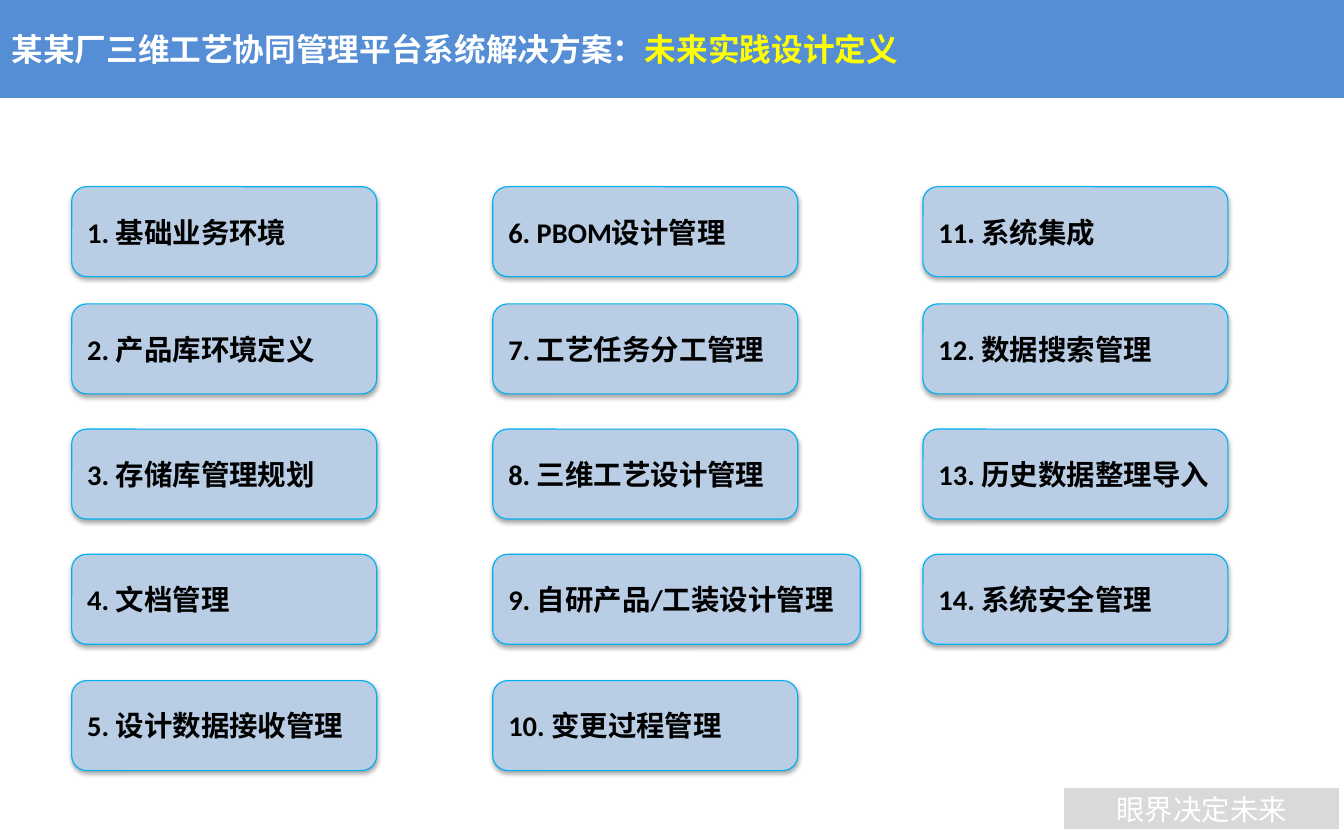
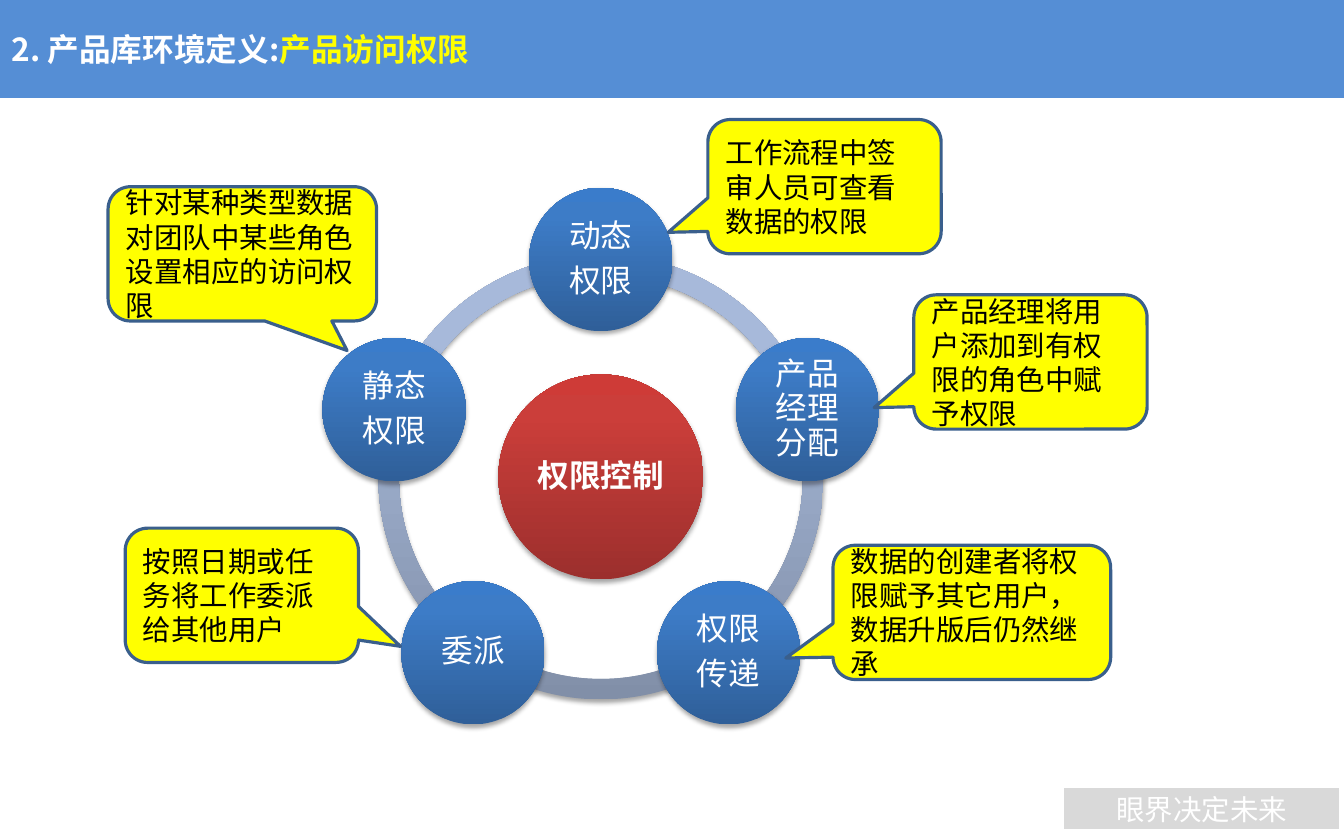
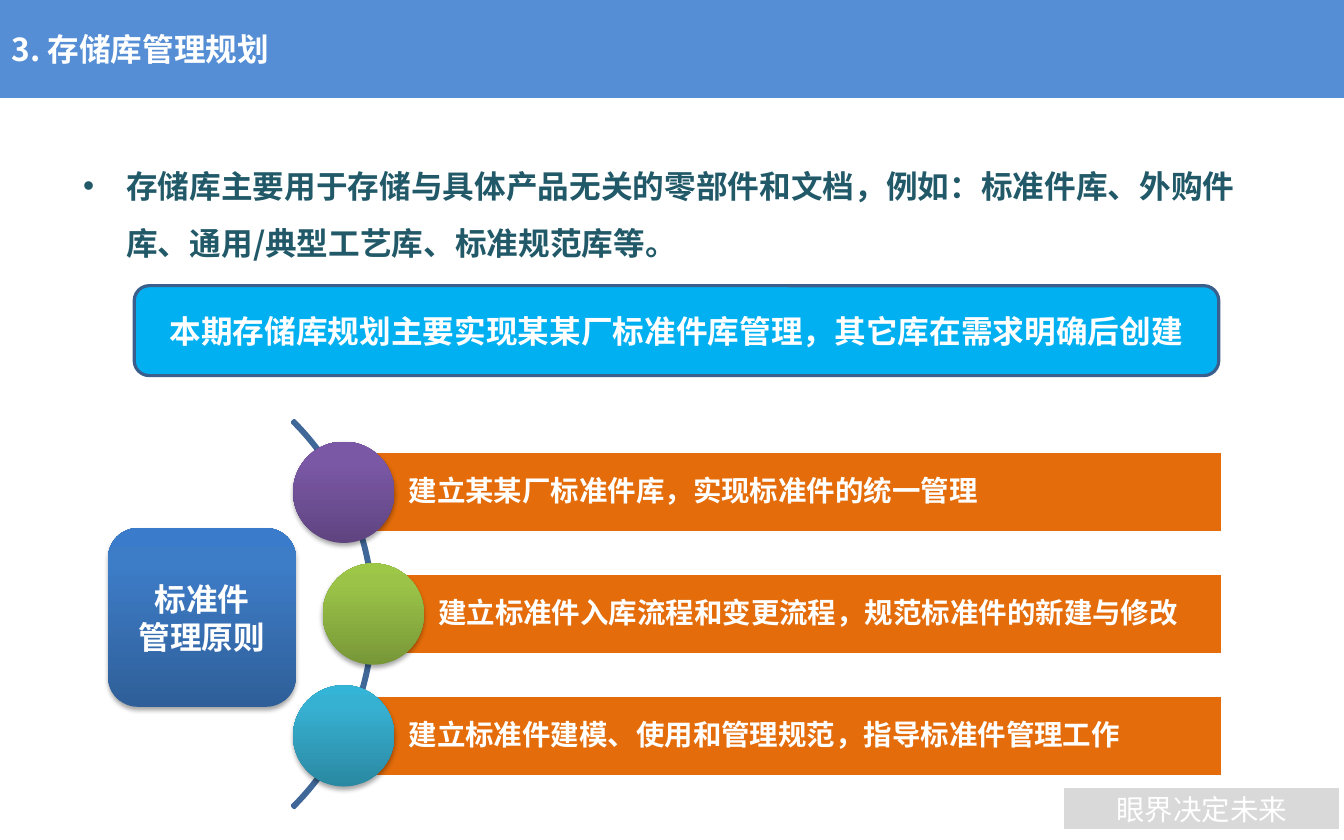
"""Build three slides on a collaborative process planning platform."""
from copy import deepcopy
from dataclasses import dataclass
from math import cos, radians, sin

from lxml import etree
from pptx import Presentation
from pptx import util as u
from pptx.dml.color import RGBColor
from pptx.enum import shapes, text
from pptx.oxml import ns

COLORS = {
    "band": "558ED5", "footer": "D9D9D9", "white": "FFFFFF", "black": "000000",
    "yellow": "FFFF00", "card": "B9CDE5", "cyan": "00B0F0", "outline": "3A5F8C",
    "arc": "3F6797", "bar": "E46C0A", "teal": "215968",
}
GRADIENTS = {
    "ring": ("818FA8", "A7B9DA", "A7BADC"),
    "red": ("9C2F2D", "CB3E3A", "CE3B37"),
    "blue": ("2F5F99", "3D7CC7", "3A7CCB"),
    "purple": ("5F4480", "7B58A6", "7C57A8"),
    "green": ("779737", "9BC348", "9DC746"),
    "aqua": ("2A88A2", "37B1D2", "34B4D6"),
}
CJK_FONT = "Noto Sans CJK SC"
SHAPE = shapes.MSO_SHAPE
LEFT, CENTER = text.PP_ALIGN.LEFT, text.PP_ALIGN.CENTER
TITLE_ONLY, TITLE_AND_BODY = 5, 1

CARD_LEFTS = (0.63, 4.33, 8.11)
CARD_TOPS = (1.64, 2.67, 3.77, 4.87, 5.98)
CARD_WIDTH, WIDE_CARD_WIDTH = 2.68, 3.23
CARD_COLUMNS = (
    ("1. 基础业务环境", "2. 产品库环境定义", "3. 存储库管理规划", "4. 文档管理", "5. 设计数据接收管理"),
    ("6. PBOM设计管理", "7. 工艺任务分工管理", "8. 三维工艺设计管理", "9. 自研产品/工装设计管理", "10. 变更过程管理"),
    ("11. 系统集成", "12. 数据搜索管理", "13. 历史数据整理导入", "14. 系统安全管理"),
)
WIDE_CARD = "9. 自研产品/工装设计管理"

RING_X, RING_Y, RING_SIZE = 5.28, 4.19, 3.91
NODE_ORBIT, NODE_SIZE, HUB_SIZE, NODE_STEP = 1.91, 1.26, 1.8, 72
NODES = ("动态\n权限", "产品经理分配", "权限\n传递", "委派", "静态\n权限")


@dataclass(frozen=True)
class Box:
    left: float
    top: float
    width: float
    height: float


@dataclass(frozen=True)
class Callout:
    box: Box
    tip: tuple[float, float]
    words: str


@dataclass(frozen=True)
class Principle:
    left: float
    gradient: str
    words: str


CALLOUTS = (
    Callout(Box(6.22, 1.05, 2.05, 1.18), (-0.67, 0.34), "工作流程中签审人员可查看数据的权限"),
    Callout(Box(0.95, 1.64, 2.36, 1.18), (0.39, 0.72), "针对某种类型数据对团队中某些角色设置相应的访问权限"),
    Callout(Box(8.03, 2.59, 2.05, 1.18), (-0.67, 0.34), "产品经理将用户添加到有权限的角色中赋予权限"),
    Callout(Box(7.32, 4.79, 2.44, 1.18), (-0.67, 0.34), "数据的创建者将权限赋予其它用户，数据升版后仍然继承"),
    Callout(Box(1.1, 4.64, 2.05, 1.18), (0.68, 0.38), "按照日期或任务将工作委派给其他用户"),
)
PRINCIPLES = (
    Principle(3.02, "purple", "建立某某厂标准件库，实现标准件的统一管理"),
    Principle(3.28, "green", "建立标准件入库流程和变更流程，规范标准件的新建与修改"),
    Principle(3.02, "aqua", "建立标准件建模、使用和管理规范，指导标准件管理工作"),
)
BAR_TOP, BAR_PITCH, BAR_HEIGHT, BAR_RIGHT, DOT_SIZE = 3.97, 1.07, 0.71, 10.74, 0.89


def rgb(name: str) -> RGBColor:
    return RGBColor.from_string(COLORS[name])


def centered(x: float, y: float, size: float) -> Box:
    return Box(x - size / 2, y - size / 2, size, size)


def place(shape, box: Box) -> None:
    shape.left, shape.top = u.Inches(box.left), u.Inches(box.top)
    shape.width, shape.height = u.Inches(box.width), u.Inches(box.height)


def add_span(para, words: str, *, size=18, color="white", bold=False, font="Calibri") -> None:
    span = para.add_run()
    span.text = words
    span.font.size, span.font.bold, span.font.name = u.Pt(size), bold, font
    span.font.color.rgb = rgb(color)
    east_asian = etree.SubElement(span.font._element, ns.qn("a:ea"))
    east_asian.set("typeface", CJK_FONT)


def write(frame, words: str, *, align=LEFT, anchor=text.MSO_ANCHOR.MIDDLE,
          spacing=1.0, after=0, insets=(0.1, 0.05, 0.1, 0.05), **span_format) -> None:
    frame.word_wrap = True
    frame.auto_size = text.MSO_AUTO_SIZE.NONE
    frame.vertical_anchor = anchor
    frame.margin_left, frame.margin_top, frame.margin_right, frame.margin_bottom = map(u.Inches, insets)
    for index, line in enumerate(words.split("\n")):
        para = frame.add_paragraph() if index else frame.paragraphs[0]
        para.alignment, para.line_spacing = align, spacing
        para.space_before, para.space_after = u.Pt(0), u.Pt(after)
        add_span(para, line, **span_format)


def fill_gradient(shape, name: str) -> None:
    shape.fill.gradient()
    shape.fill.gradient_angle = 90
    stop_list = shape.element.spPr.find(ns.qn("a:gradFill")).find(ns.qn("a:gsLst"))
    stop_list.append(deepcopy(stop_list[0]))
    for stop, position, color in zip(shape.fill.gradient_stops, (0, 0.8, 1), GRADIENTS[name]):
        stop.position = position
        stop.color.rgb = RGBColor.from_string(color)


def cast_shadow(shape) -> None:
    effects = shape.element.spPr.find(ns.qn("a:effectLst"))
    shadow = etree.SubElement(effects, ns.qn("a:outerShdw"), blurRad=str(u.Pt(3.1)),
                              dist=str(u.Pt(1.8)), dir="5400000", rotWithShape="0")
    color = etree.SubElement(shadow, ns.qn("a:srgbClr"), val=COLORS["black"])
    etree.SubElement(color, ns.qn("a:alpha"), val="35000")


def add_shape(page, kind, box: Box, *, fill="", gradient="", line="", line_width=2.0,
              shadow=False, adjust=()):
    shape = page.shapes.add_shape(kind, 0, 0, 0, 0)
    place(shape, box)
    for index, value in enumerate(adjust):
        shape.adjustments[index] = value
    if gradient:
        fill_gradient(shape, gradient)
    elif fill:
        shape.fill.solid()
        shape.fill.fore_color.rgb = rgb(fill)
    else:
        shape.fill.background()
    if line:
        shape.line.color.rgb = rgb(line)
        shape.line.width = u.Pt(line_width)
    else:
        shape.line.fill.background()
    shape.shadow.inherit = False
    if shadow:
        cast_shadow(shape)
    return shape


def add_arc(page, box: Box, start: float, end: float, thickness: float, **look) -> None:
    adjust = (start * 0.6, end * 0.6, thickness)
    add_shape(page, SHAPE.BLOCK_ARC, box, adjust=adjust, **look)


def furnish_master(deck, page) -> None:
    band = add_shape(page, SHAPE.RECTANGLE, Box(0, 0, 11.81, 0.86), fill="band")
    footer = add_shape(page, SHAPE.RECTANGLE, Box(9.34, 6.91, 2.44, 0.39), fill="footer", line="white")
    write(footer.text_frame, "眼界决定未来", align=CENTER, font=CJK_FONT)
    for number, shape in enumerate((band, footer), start=101):
        shape.element.nvSpPr.cNvPr.set("id", str(number))
        deck.slide_master.shapes.element.append(shape.element)


def add_page(deck, layout: int, title: str, highlight: str = ""):
    page = deck.slides.add_slide(deck.slide_layouts[layout])
    place(page.shapes.title, Box(0, 0, 11.79, 0.86))
    frame = page.shapes.title.text_frame
    look = {"size": 20, "bold": True, "font": CJK_FONT}
    write(frame, title, **look)
    if highlight:
        add_span(frame.paragraphs[0], highlight, color="yellow", **look)
    return page


def draw_overview(page) -> None:
    for left, column in zip(CARD_LEFTS, CARD_COLUMNS):
        for top, words in zip(CARD_TOPS, column):
            width = WIDE_CARD_WIDTH if words == WIDE_CARD else CARD_WIDTH
            card = add_shape(page, SHAPE.ROUNDED_RECTANGLE, Box(left, top, width, 0.79),
                             fill="card", line="cyan", line_width=0.75, shadow=True)
            write(card.text_frame, words, color="black", bold=True)


def add_disc(page, box: Box, gradient: str, words: str, bold: bool = False) -> None:
    disc = add_shape(page, SHAPE.OVAL, box, gradient=gradient, shadow=True)
    write(disc.text_frame, words, align=CENTER, spacing=0.9, after=7,
          insets=(0.03,) * 4, size=20, bold=bold)


def draw_permissions(page) -> None:
    ring = centered(RING_X, RING_Y, RING_SIZE)
    for index in range(len(NODES)):
        start = (198 - index * NODE_STEP) % 360
        add_arc(page, ring, start, (start + NODE_STEP) % 360, 0.046, gradient="ring", shadow=True)
    add_disc(page, centered(RING_X, RING_Y, HUB_SIZE), "red", "权限控制", bold=True)
    for index, words in enumerate(NODES):
        angle = radians(index * NODE_STEP - 90)
        x, y = RING_X + NODE_ORBIT * cos(angle), RING_Y + NODE_ORBIT * sin(angle)
        add_disc(page, centered(x, y, NODE_SIZE), "blue", words)
    for callout in CALLOUTS:
        bubble = add_shape(page, SHAPE.ROUNDED_RECTANGULAR_CALLOUT, callout.box, fill="yellow",
                           line="outline", adjust=(*callout.tip, 0.167))
        write(bubble.text_frame, callout.words, color="black")


def write_body(page, words: str) -> None:
    body = page.placeholders[1]
    place(body, Box(0.63, 1.25, 10.51, 5.59))
    para_format = body.text_frame.paragraphs[0]._p.get_or_add_pPr()
    para_format.set("marL", str(u.Inches(0.38)))
    para_format.set("indent", str(u.Inches(-0.38)))
    etree.SubElement(para_format, ns.qn("a:buChar"), char="•")
    write(body.text_frame, words, anchor=text.MSO_ANCHOR.TOP, spacing=1.5,
          size=20, color="teal", bold=True, font=CJK_FONT)


def draw_storage(page) -> None:
    write_body(page, "存储库主要用于存储与具体产品无关的零部件和文档，例如：标准件库、外购件库、通用/典型工艺库、标准规范库等。")
    scope = add_shape(page, SHAPE.ROUNDED_RECTANGLE, Box(1.18, 2.51, 9.53, 0.79),
                      fill="cyan", line="outline")
    write(scope.text_frame, "本期存储库规划主要实现某某厂标准件库管理，其它库在需求明确后创建",
          align=CENTER, size=20, bold=True)
    add_arc(page, Box(-1.52, 2.99, 4.81, 4.81), 315, 45, 0.005, line="arc")
    for index, principle in enumerate(PRINCIPLES):
        top = BAR_TOP + index * BAR_PITCH
        box = Box(principle.left, top, BAR_RIGHT - principle.left, BAR_HEIGHT)
        bar = add_shape(page, SHAPE.RECTANGLE, box, fill="bar", line="white")
        write(bar.text_frame, principle.words, spacing=0.9, after=6,
              insets=(0.57, 0.05, 0.05, 0.05), bold=True)
        dot = centered(principle.left, top + BAR_HEIGHT / 2, DOT_SIZE)
        add_shape(page, SHAPE.OVAL, dot, gradient=principle.gradient, shadow=True)
    heading = add_shape(page, SHAPE.ROUNDED_RECTANGLE, Box(0.95, 4.64, 1.65, 1.57),
                        gradient="blue", shadow=True)
    write(heading.text_frame, "标准件\n管理原则", align=CENTER, size=20, bold=True)


def main() -> None:
    deck = Presentation()
    deck.slide_width, deck.slide_height = u.Inches(11.81), u.Inches(7.38)
    overview = add_page(deck, TITLE_ONLY, "某某厂三维工艺协同管理平台系统解决方案：", "未来实践设计定义")
    furnish_master(deck, overview)
    draw_overview(overview)
    draw_permissions(add_page(deck, TITLE_ONLY, "2. 产品库环境定义:", "产品访问权限"))
    draw_storage(add_page(deck, TITLE_AND_BODY, "3. 存储库管理规划"))
    deck.save("out.pptx")


if __name__ == "__main__":
    main()
